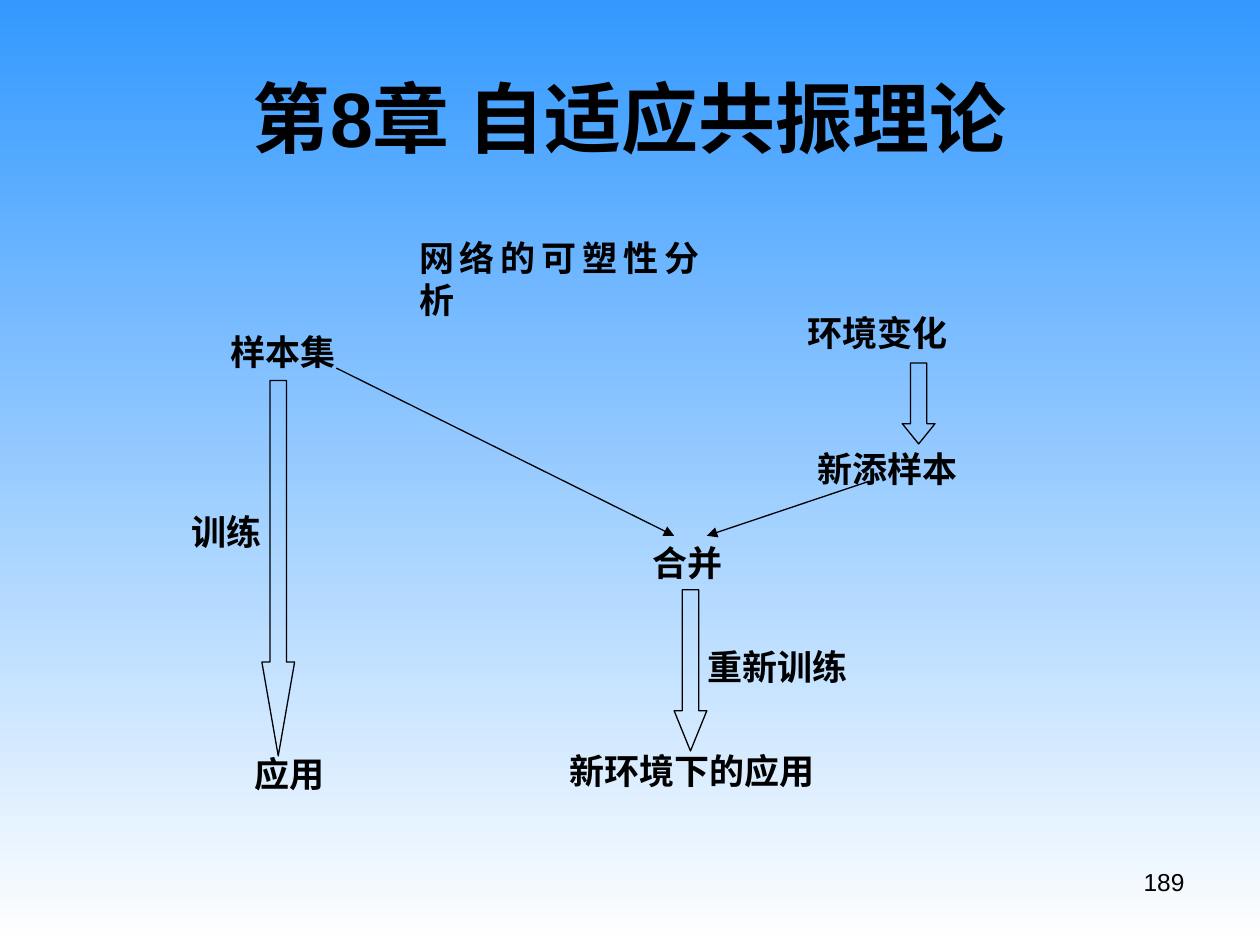
from lxml import etree
from pptx import Presentation
from pptx.dml.color import RGBColor
from pptx.enum import shapes, text
from pptx.oxml import ns
from pptx.util import Cm, Pt

BLACK = RGBColor(0, 0, 0)
SKY = RGBColor(0x33, 0x99, 0xFF)
WHITE = RGBColor(0xFF, 0xFF, 0xFF)
CJK = "Noto Sans CJK SC"
STEM = 0.66
LABEL_HEIGHT = 1.11

LABELS = [
    ("网络的可塑性分析", 4.6, 0),
    ("环境变化", 12.43, 1.5),
    ("样本集", 0.79, 1.88),
    ("新添样本", 12.63, 4.24),
    ("训练", 0.01, 5.51),
    ("合并", 9.3, 6.15),
    ("重新训练", 10.42, 8.23),
    ("新环境下的应用", 7.63, 10.34),
    ("应用", 1.28, 10.39),
]
BLOCK_ARROWS = [(1.68, 3.02, 7.57), (14.59, 2.67, 1.63), (9.99, 7.24, 3.25)]
MERGE_LINES = [(3.18, 2.77, 9.99, 6.15), (13.93, 5.05, 10.65, 6.15)]


def style_run(run, size, latin, bold):
    run.font.size = Pt(size)
    run.font.name = latin
    run.font.bold = bold
    run.font.color.rgb = BLACK
    east_asian = etree.Element(ns.qn("a:ea"), typeface=CJK)
    run.font._element.find(ns.qn("a:latin")).addnext(east_asian)


def paint_background(slide):
    fill = slide.background.fill
    fill.gradient()
    fill.gradient_angle = 270
    for stop, color in zip(fill.gradient_stops, (SKY, WHITE)):
        stop.color.rgb = color


def place_title(slide, left, top, width, height):
    title = slide.shapes.title
    title.left, title.top = Cm(left), Cm(top)
    title.width, title.height = Cm(width), Cm(height)
    title.text_frame.vertical_anchor = text.MSO_ANCHOR.MIDDLE
    heading = title.text_frame.paragraphs[0]
    heading.alignment = text.PP_ALIGN.CENTER
    for part, latin in (("第", CJK), ("8", "Arial"), ("章 自适应共振理论", CJK)):
        run = heading.add_run()
        run.text = part
        style_run(run, 44, latin, True)


def place_label(slide, wording, left, top):
    width = 0.51 + len(wording) * 20 * 2.54 / 72
    label = slide.shapes.add_textbox(Cm(left), Cm(top), Cm(width), Cm(LABEL_HEIGHT))
    frame = label.text_frame
    frame.text = wording
    frame.word_wrap = False
    frame.auto_size = text.MSO_AUTO_SIZE.SHAPE_TO_FIT_TEXT
    frame.paragraphs[0].alignment = text.PP_ALIGN.JUSTIFY
    style_run(frame.paragraphs[0].runs[0], 20, "Times New Roman", True)


def place_block_arrow(slide, left, top, height):
    arrow = slide.shapes.add_shape(
        shapes.MSO_SHAPE.DOWN_ARROW, Cm(left), Cm(top), Cm(STEM), Cm(height))
    arrow.adjustments[0] = 0.5
    arrow.adjustments[1] = height / 4 / STEM
    arrow.shadow.inherit = False
    arrow.fill.background()
    arrow.line.color.rgb = BLACK
    arrow.line.width = Pt(0.75)


def place_merge_line(slide, *ends):
    connector = slide.shapes.add_connector(
        shapes.MSO_CONNECTOR.STRAIGHT, *(Cm(end) for end in ends))
    connector.line.color.rgb = BLACK
    connector.line.width = Pt(0.75)
    properties = connector._element.spPr
    outline = properties.find(ns.qn("a:ln"))
    etree.SubElement(outline, ns.qn("a:tailEnd"), type="triangle")
    etree.SubElement(properties, ns.qn("a:effectLst"))


def place_flow(slide, left, top):
    for x, y, height in BLOCK_ARROWS:
        place_block_arrow(slide, left + x, top + y, height)
    for x1, y1, x2, y2 in MERGE_LINES:
        place_merge_line(slide, left + x1, top + y1, left + x2, top + y2)
    for wording, x, y in LABELS:
        place_label(slide, wording, left + x, top + y)


def place_page_number(slide, left, top, width, height):
    number = slide.shapes.add_textbox(Cm(left), Cm(top), Cm(width), Cm(height))
    number.text_frame.word_wrap = True
    number.text_frame.text = "189"
    line = number.text_frame.paragraphs[0]
    line.alignment = text.PP_ALIGN.RIGHT
    style_run(line.runs[0], 14, "Arial", False)


def main():
    deck = Presentation()
    deck.slide_width, deck.slide_height = Cm(25.4), Cm(19.05)
    slide = deck.slides.add_slide(deck.slide_layouts[5])
    paint_background(slide)
    place_title(slide, 1.27, 0.76, 22.86, 3.18)
    place_flow(slide, 3.6, 4.65)
    place_page_number(slide, 18.2, 17.35, 5.93, 1.32)
    deck.save("out.pptx")


if __name__ == "__main__":
    main()
